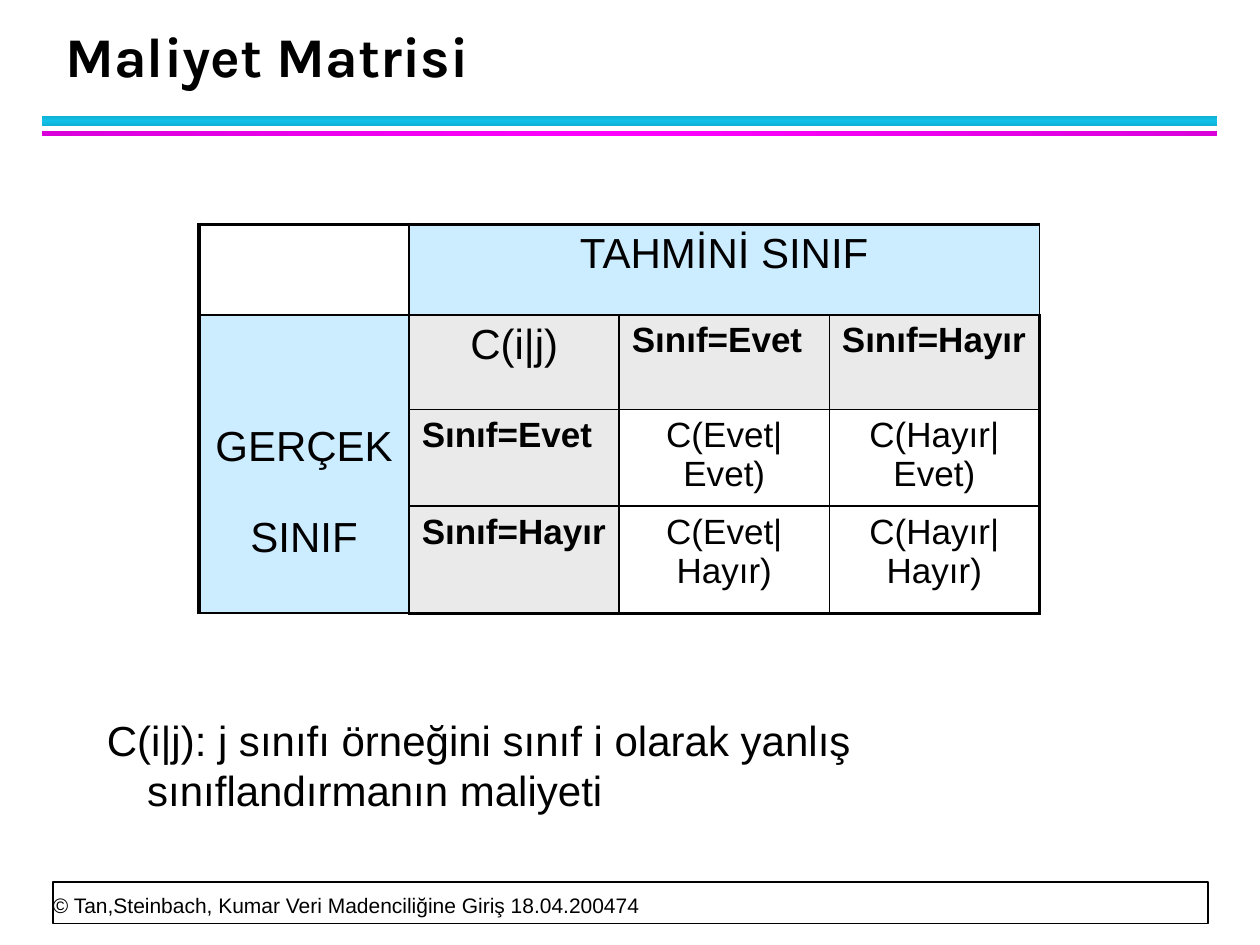
from copy import deepcopy

from lxml import etree
from pptx import Presentation
from pptx import util as u
from pptx.dml.color import RGBColor
from pptx.enum import shapes, text
from pptx.oxml import ns


def color(value):
    return RGBColor.from_string(value)


class SlideBuilder:
    font = "Arial"
    ink = "000000"
    blue = "CCECFF"
    gray = "EAEAEA"

    def __init__(self, presentation):
        self.slide = presentation.slides.add_slide(presentation.slide_layouts[6])

    def rectangle(self, left, top, width, height):
        shape = self.slide.shapes.add_shape(
            shapes.MSO_SHAPE.RECTANGLE, *map(u.Inches, (left, top, width, height)))
        shape.shadow.inherit = False
        return shape

    def gradient_bar(self, top, height, edge, middle, angle):
        shape = self.rectangle(0.33, top, 9.33, height)
        shape.line.fill.background()
        shape.fill.gradient()
        shape.fill.gradient_angle = angle
        stop_list = shape._element.spPr.find(".//" + ns.qn("a:gsLst"))
        stop_list.insert(1, deepcopy(stop_list[0]))
        for stop, position, value in zip(
                shape.fill.gradient_stops, (0, 0.5, 1), (edge, middle, edge)):
            stop.position = position
            stop.color.rgb = color(value)

    def frame(self, left, top, width, height):
        shape = self.rectangle(left, top, width, height)
        shape.fill.solid()
        shape.fill.fore_color.rgb = color("FFFFFF")
        shape.line.color.rgb = color(self.ink)
        shape.line.width = u.Pt(1)

    def run(self, paragraph, words, size, bold=False, font=None):
        run = paragraph.add_run()
        run.text = words
        run.font.size = u.Pt(size)
        run.font.bold = bold
        run.font.name = font or self.font
        run.font.color.rgb = color(self.ink)

    def textbox(self, box, margins, words, size, bold=False, font=None,
                anchor=text.MSO_ANCHOR.TOP, spacing=None):
        frame = self.slide.shapes.add_textbox(*map(u.Inches, box)).text_frame
        frame.word_wrap = True
        frame.vertical_anchor = anchor
        (frame.margin_left, frame.margin_top,
         frame.margin_right, frame.margin_bottom) = map(u.Inches, margins)
        paragraph = frame.paragraphs[0]
        if spacing:
            paragraph.line_spacing = u.Pt(spacing)
        self.run(paragraph, words, size, bold, font)
        return paragraph

    def table(self, left, top, width, row_heights, columns):
        table = self.slide.shapes.add_table(
            len(row_heights), columns,
            *map(u.Inches, (left, top, width, sum(row_heights)))).table
        for column in table.columns:
            column.width = u.Inches(width / columns)
        for row, height in zip(table.rows, row_heights):
            row.height = u.Inches(height)
        last_row, last_column = len(row_heights) - 1, columns - 1
        for row in range(len(row_heights)):
            for column in range(columns):
                cell = table.cell(row, column)
                cell.fill.background()
                self.borders(cell, {"L": column == 0, "R": column == last_column,
                                    "T": row == 0, "B": row == last_row})
        return table

    def borders(self, cell, outer_sides):
        properties = cell._tc.get_or_add_tcPr()
        for index, (side, outer) in enumerate(outer_sides.items()):
            line = etree.Element(ns.qn("a:ln" + side), w=str(u.Pt(2.25 if outer else 1)))
            fill = etree.SubElement(line, ns.qn("a:solidFill"))
            etree.SubElement(fill, ns.qn("a:srgbClr"), val=self.ink)
            properties.insert(index, line)

    def cell(self, cell, lines, size, bold=False, fill=None):
        if fill:
            cell.fill.solid()
            cell.fill.fore_color.rgb = color(fill)
        if bold:
            cell.margin_right = u.Inches(0.05)
        for index, words in enumerate(lines):
            frame = cell.text_frame
            paragraph = frame.add_paragraph() if index else frame.paragraphs[0]
            paragraph.alignment = text.PP_ALIGN.LEFT if bold else text.PP_ALIGN.CENTER
            paragraph.space_after = u.Pt(4)
            self.run(paragraph, words, size, bold)


def main():
    presentation = Presentation()
    presentation.slide_width = u.Inches(10)
    presentation.slide_height = u.Inches(7.5)
    builder = SlideBuilder(presentation)

    builder.gradient_bar(0.92, 0.08, "10B0D3", "12C2E9", 90)
    builder.gradient_bar(1.04, 0.04, "DA00DA", "FF00FF", 0)
    builder.frame(0.42, 7, 9.17, 0.33)
    builder.textbox((0.42, 7, 9.15, 0.28), (0, 0, 0, 0),
                    "© Tan,Steinbach, Kumar Veri Madenciliğine Giriş 18.04.200474",
                    12, anchor=text.MSO_ANCHOR.BOTTOM, spacing=20)
    builder.textbox((0.42, 0.17, 9.06, 0.58), (0.1, 0.05, 0.1, 0.05),
                    "Maliyet Matrisi", 32, True, "Karla", text.MSO_ANCHOR.BOTTOM, 36)

    matrix = builder.table(1.58, 1.78, 6.67, (0.72, 0.75, 0.74, 0.85), 4)
    matrix.cell(0, 1).merge(matrix.cell(0, 3))
    matrix.cell(1, 0).merge(matrix.cell(3, 0))
    builder.cell(matrix.cell(0, 1), ["TAHMİNİ SINIF"], 24, fill=builder.blue)
    actual = matrix.cell(1, 0)
    builder.cell(actual, ["GERÇEK", "SINIF"], 24, fill=builder.blue)
    actual.margin_top = u.Inches(0.86)
    actual.text_frame.paragraphs[0].space_after = u.Pt(25.5)
    builder.cell(matrix.cell(1, 1), ["C(i|j)"], 24, fill=builder.gray)

    classes = ("Evet", "Hayır")
    for index, name in enumerate(classes, 2):
        for header in (matrix.cell(1, index), matrix.cell(index, 1)):
            builder.cell(header, [f"Sınıf={name}"], 20, True, builder.gray)
        for column, predicted in enumerate(classes, 2):
            builder.cell(matrix.cell(index, column), [f"C({predicted}|{name})"], 20)

    definition = builder.textbox(
        (0.75, 5.58, 8.58, 1), (0.1, 0.09, 0.2, 0.05),
        "C(i|j): j sınıfı örneğini sınıf i olarak yanlış sınıflandırmanın maliyeti", 24)
    indent = definition._p.get_or_add_pPr()
    indent.set("marL", str(u.Inches(0.32)))
    indent.set("indent", str(-u.Inches(0.32)))

    presentation.save("out.pptx")


if __name__ == "__main__":
    main()
